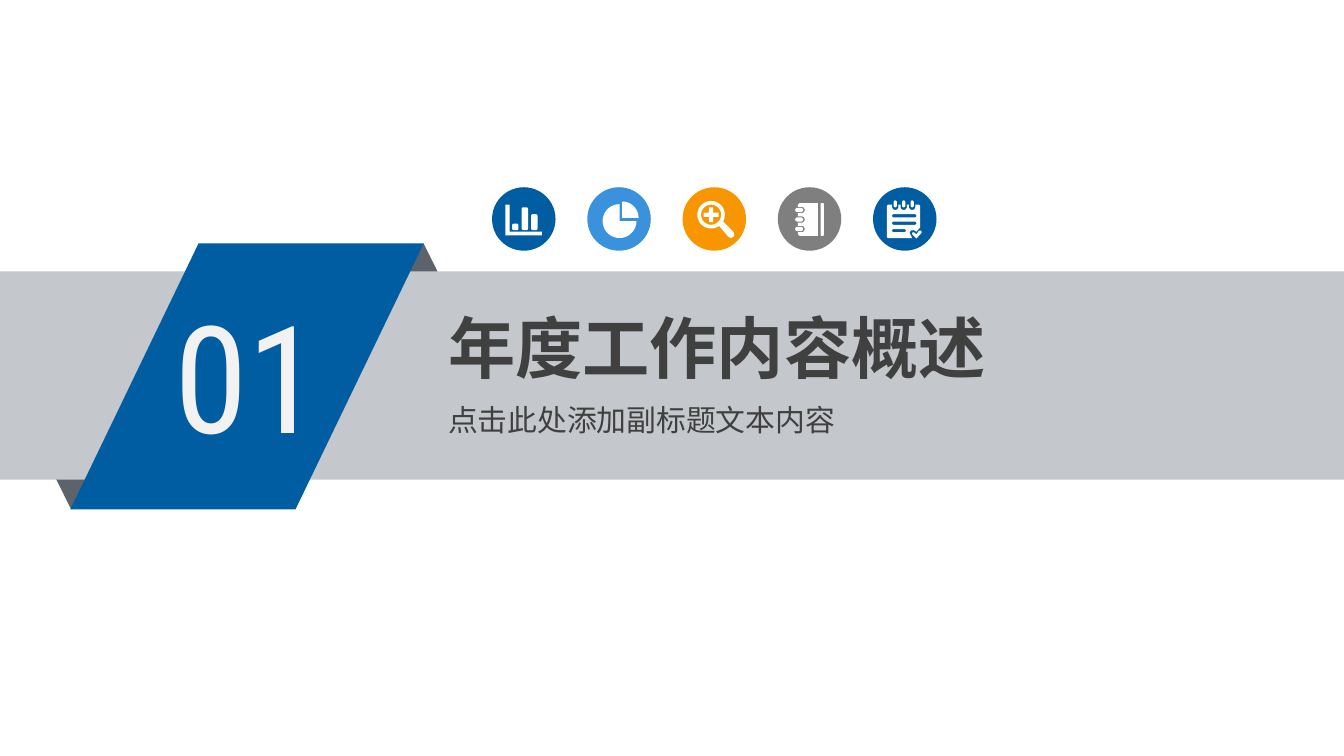
from dataclasses import dataclass
from math import cos, radians, sin

from lxml import etree
from pptx import Presentation
from pptx.dml.color import RGBColor
from pptx.enum.shapes import MSO_SHAPE
from pptx.enum.text import MSO_AUTO_SIZE
from pptx.oxml.ns import qn
from pptx.util import Cm, Pt

OVAL, RECT = MSO_SHAPE.OVAL, MSO_SHAPE.RECTANGLE
TRIANGLE, PARALLELOGRAM = MSO_SHAPE.ISOSCELES_TRIANGLE, MSO_SHAPE.PARALLELOGRAM
GROW = MSO_AUTO_SIZE.SHAPE_TO_FIT_TEXT

BLUE = RGBColor(0x00, 0x5D, 0xA2)
SKY = RGBColor(0x39, 0x92, 0xDB)
ORANGE = RGBColor(0xF7, 0x96, 0x00)
GREY = RGBColor(0x7F, 0x7F, 0x7F)
BAND = RGBColor(0xC4, 0xC7, 0xCB)
FOLD = RGBColor(0x5D, 0x63, 0x6A)
INK = RGBColor(0x40, 0x40, 0x40)
PALE = RGBColor(0xF2, 0xF2, 0xF2)
WHITE = RGBColor(0xFF, 0xFF, 0xFF)

CJK, DIGITS = "Noto Sans CJK SC", "Roboto Condensed"

ICON_LEFT, ICON_TOP, ICON_SIZE, ICON_PITCH = 9.3, 3.54, 1.2, 1.8

Outline = list[tuple[float, float]]


@dataclass
class Label:
    text: str
    left: float
    top: float
    width: float
    height: float
    size: int
    font: str
    color: RGBColor
    bold: bool = False


@dataclass
class Icon:
    color: RGBColor
    outlines: list[Outline]


def arc(cx: float, cy: float, r: float, start: int, end: int) -> Outline:
    """Points clockwise along an arc, from start to end in degrees."""
    return [(cx + r * cos(radians(a)), cy + r * sin(radians(a)))
            for a in range(start, end + 1, 10)]


def bar(x: float, y: float, w: float, h: float, r: float = 3) -> Outline:
    """Rectangle with corners rounded by r."""
    return (arc(x + w - r, y + r, r, -90, 0) + arc(x + w - r, y + h - r, r, 0, 90)
            + arc(x + r, y + h - r, r, 90, 180) + arc(x + r, y + r, r, 180, 270))


# Icon outlines are in tenths of a millimetre from the disc's top left corner;
# an outline inside another one cuts a hole.
def bar_chart() -> list[Outline]:
    axes = [(25, 33), (33, 33), (33, 84), (94, 84), (94, 91), (25, 91)]
    return [axes, bar(38, 69, 12, 12), bar(56, 38, 12, 43), bar(74, 51, 12, 30)]


def pie_chart() -> list[Outline]:
    return [[(66, 58)] + arc(66, 58, 31, -90, 0),
            [(61, 64)] + arc(61, 64, 32, 0, 270)]


def magnifier() -> list[Outline]:
    cx, cy, arm, half = 54, 52, 14, 4
    plus = [(cx + x, cy + y) for x, y in (
        (-half, -arm), (half, -arm), (half, -half), (arm, -half),
        (arm, half), (half, half), (half, arm), (-half, arm),
        (-half, half), (-arm, half), (-arm, -half), (-half, -half))]
    handle = [(69, 73), (86, 93), (91, 96), (96, 94), (98, 90), (96, 84), (77, 65)]
    return [arc(cx, cy, 26, 0, 360), arc(cx, cy, 19, 0, 360), plus, handle]


def notebook() -> list[Outline]:
    rings = (43, 61, 79)
    page = [(76, 92), (76, 30), (41, 30), (38, 33)]
    for y in rings:
        page += [(38, y - 6)] + arc(45, y, 6, -90, 90) + [(38, y + 6)]
    page += [(38, 89), (41, 92)]
    return [page, bar(81, 30, 6, 62, 2)] + [bar(33, y - 4, 15, 8, 4) for y in rings]


def checklist() -> list[Outline]:
    pins = (42, 58, 74)
    page = [(26, 35), (28, 33)]
    for x in pins:
        page += [(x - 6, 33)] + arc(x, 37, 6, 0, 180)[::-1] + [(x + 6, 33)]
    page += [(87, 33), (89, 35), (89, 76), (82, 84), (77, 81),
             (71, 82), (69, 86), (74, 96), (28, 96), (26, 94)]
    tick = [(74, 86), (77, 85), (82, 89), (87, 82), (91, 82), (92, 86), (82, 97), (74, 89)]
    lines = [bar(36, 51, 46, 6), bar(36, 65, 46, 6), bar(36, 79, 26, 6)]
    return [page, tick] + lines + [bar(x - 3, 25, 6, 13) for x in pins]


def paint(sp, color: RGBColor) -> None:
    sp.shadow.inherit = False
    sp.fill.solid()
    sp.fill.fore_color.rgb = color
    sp.line.fill.background()


def add_block(shapes, kind, left: float, top: float, width: float, height: float,
              color: RGBColor):
    sp = shapes.add_shape(kind, Cm(left), Cm(top), Cm(width), Cm(height))
    paint(sp, color)
    return sp


def add_icon(shapes, icon: Icon, left: float, top: float) -> None:
    group = shapes.add_group_shape().shapes
    add_block(group, OVAL, left, top, ICON_SIZE, ICON_SIZE, icon.color)
    outlines = [[(Cm(left + x / 100), Cm(top + y / 100)) for x, y in outline]
                for outline in icon.outlines]
    builder = group.build_freeform(*outlines[0][0])
    for i, points in enumerate(outlines):
        if i:
            builder.move_to(*points[0])
        builder.add_line_segments(points[1:], close=True)
    paint(builder.convert_to_shape(), WHITE)


def add_label(shapes, label: Label) -> None:
    tf = shapes.add_textbox(Cm(label.left), Cm(label.top),
                            Cm(label.width), Cm(label.height)).text_frame
    tf.word_wrap = True
    tf.auto_size = GROW
    tf.margin_left = tf.margin_right = Cm(0.19)
    tf.margin_top = tf.margin_bottom = Cm(0.1)
    p = tf.paragraphs[0]
    p.text = label.text
    p.font.size = Pt(label.size)
    p.font.bold = label.bold
    p.font.color.rgb = label.color
    p.font.name = label.font
    # The East Asian typeface has no public setter.
    props = p._p.pPr.find(qn("a:defRPr"))
    etree.SubElement(props, qn("a:ea")).set("typeface", label.font)


def add_ribbon(shapes) -> None:
    group = shapes.add_group_shape().shapes
    add_block(group, TRIANGLE, 6.86, 4.6, 2.29, 2.31, FOLD)
    add_block(group, TRIANGLE, 0.2, 7.32, 2.29, 2.31, FOLD).rotation = 180
    add_block(group, RECT, 0, 5.13, 25.4, 3.94, BAND)
    add_block(group, PARALLELOGRAM, 1.33, 4.6, 6.68, 5.03, BLUE).adjustments[0] = 0.482
    add_label(group, Label("01", 3.1, 5.28, 3.68, 3.61, 80, DIGITS, PALE))


LABELS = [
    Label("年度工作内容概述", 8.28, 5.69, 14.02, 1.73, 36, CJK, INK, True),
    Label("点击此处添加副标题文本内容", 8.28, 7.49, 8.53, 0.89, 16, CJK, INK),
]
ICONS = [
    Icon(BLUE, bar_chart()),
    Icon(SKY, pie_chart()),
    Icon(ORANGE, magnifier()),
    Icon(GREY, notebook()),
    Icon(BLUE, checklist()),
]


def main() -> None:
    prs = Presentation()
    prs.slide_width, prs.slide_height = Cm(25.4), Cm(14.29)
    shapes = prs.slides.add_slide(prs.slide_layouts[6]).shapes
    add_ribbon(shapes)
    for label in LABELS:
        add_label(shapes, label)
    for i, icon in enumerate(ICONS):
        add_icon(shapes, icon, ICON_LEFT + i * ICON_PITCH, ICON_TOP)
    prs.save("out.pptx")


if __name__ == "__main__":
    main()
